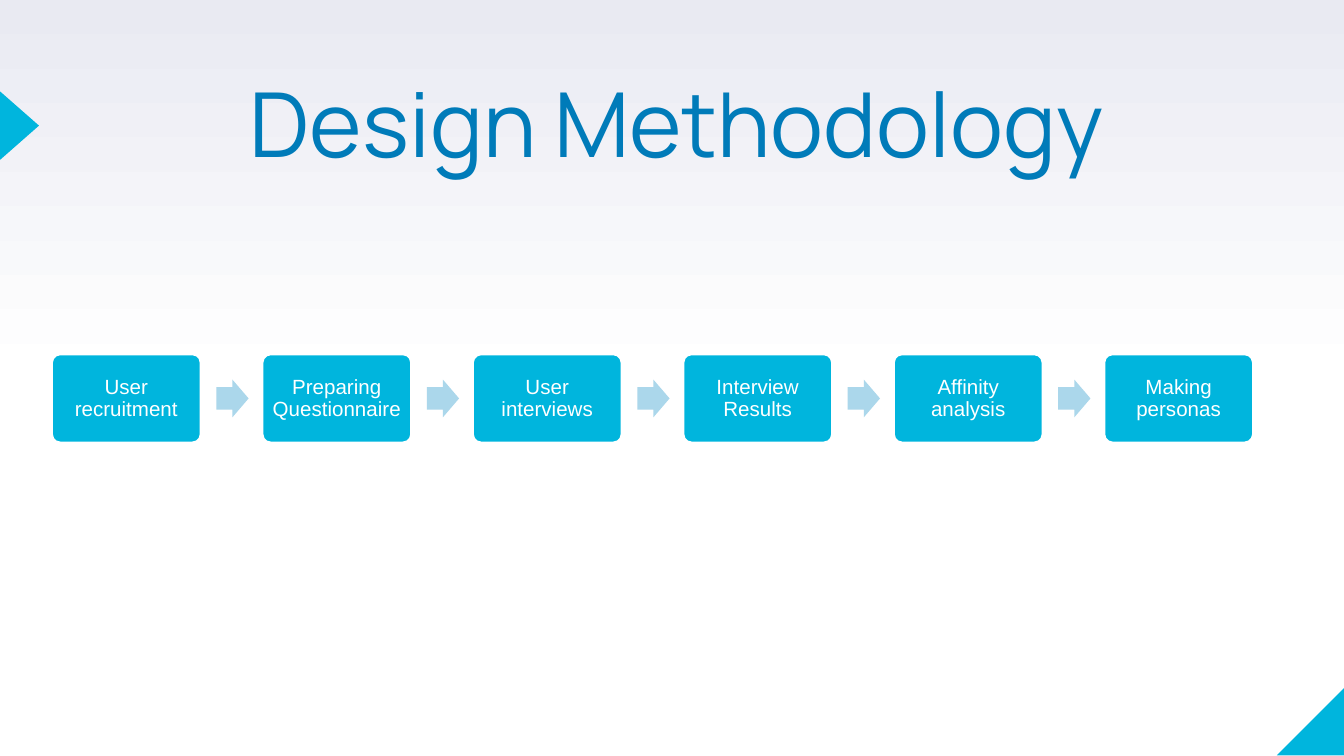
from pptx import Presentation
from pptx.dml.color import RGBColor
from pptx.enum.shapes import MSO_SHAPE
from pptx.enum.text import MSO_ANCHOR, PP_ALIGN
from pptx.util import Inches, Pt

ROUNDED, ARROW = MSO_SHAPE.ROUNDED_RECTANGLE, MSO_SHAPE.RIGHT_ARROW
TRIANGLE, CORNER = MSO_SHAPE.ISOSCELES_TRIANGLE, MSO_SHAPE.RIGHT_TRIANGLE
CENTER, MIDDLE, TOP = PP_ALIGN.CENTER, MSO_ANCHOR.MIDDLE, MSO_ANCHOR.TOP

CYAN = RGBColor(0x00, 0xB5, 0xDD)
PALE_BLUE = RGBColor(0xAB, 0xD7, 0xEB)
TITLE_BLUE = RGBColor(0x00, 0x7B, 0xB9)
LAVENDER = RGBColor(0xE9, 0xEA, 0xF2)
WHITE = RGBColor(0xFF, 0xFF, 0xFF)

SLIDE_WIDTH = 10
SLIDE_HEIGHT = SLIDE_WIDTH * 9 / 16

STEPS = ["User recruitment", "Preparing Questionnaire", "User interviews",
         "Interview Results", "Affinity analysis", "Making personas"]
FIRST_LEFT, LAST_LEFT = 0.38, 8.21
PITCH = (LAST_LEFT - FIRST_LEFT) / (len(STEPS) - 1)
STEP_TOP, STEP_WIDTH, STEP_HEIGHT = 2.63, 1.12, 0.67
ARROW_GAP, ARROW_WIDTH, ARROW_HEIGHT = 0.11, 0.24, 0.28


def paint_background(slide):
    """Fade from lavender at the top to white at mid-height."""
    fill = slide.background.fill
    fill.gradient()
    fill.gradient_angle = 90
    for stop, position, color in zip(fill.gradient_stops, (0.5, 1), (WHITE, LAVENDER)):
        stop.position = position
        stop.color.rgb = color


def add_solid(slide, preset, left, top, width, height, color, rotation=0):
    solid = slide.shapes.add_shape(
        preset, Inches(left), Inches(top), Inches(width), Inches(height))
    solid.shadow.inherit = False
    solid.fill.solid()
    solid.fill.fore_color.rgb = color
    solid.line.fill.background()
    solid.rotation = rotation
    return solid


def write(frame, text, font, size, color, spacing, inset, anchor):
    """Put one centred paragraph in a text frame."""
    frame.word_wrap = True
    frame.vertical_anchor = anchor
    frame.margin_left = frame.margin_right = Inches(inset)
    frame.margin_top = frame.margin_bottom = Inches(inset)
    frame.text = text
    paragraph = frame.paragraphs[0]
    paragraph.alignment = CENTER
    paragraph.line_spacing = spacing
    run_font = paragraph.runs[0].font
    run_font.name, run_font.size = font, Pt(size)
    run_font.color.rgb = color


def add_title(slide, text):
    title = slide.shapes.add_textbox(Inches(0.5), Inches(0.66), Inches(9.21), Inches(1.18))
    write(title.text_frame, text, "Manrope", 48, TITLE_BLUE, 0.8, 0, TOP)


def add_step(slide, left, label):
    step = add_solid(slide, ROUNDED, left, STEP_TOP, STEP_WIDTH, STEP_HEIGHT, CYAN)
    step.adjustments[0] = 0.1
    step.line.color.rgb = WHITE
    step.line.width = Pt(2)
    write(step.text_frame, label, "Arial", 11, WHITE, 0.9, 0.03, MIDDLE)


def add_step_arrow(slide, step_left):
    arrow = add_solid(slide, ARROW, step_left + STEP_WIDTH + ARROW_GAP,
                      STEP_TOP + (STEP_HEIGHT - ARROW_HEIGHT) / 2,
                      ARROW_WIDTH, ARROW_HEIGHT, PALE_BLUE)
    arrow.adjustments[0] = 0.6
    arrow.adjustments[1] = 0.5


def main():
    deck = Presentation()
    deck.slide_width, deck.slide_height = Inches(SLIDE_WIDTH), Inches(SLIDE_HEIGHT)
    slide = deck.slides.add_slide(deck.slide_layouts[6])
    paint_background(slide)
    add_solid(slide, CORNER, 9.5, 5.11, 0.51, 0.51, CYAN, rotation=270)
    add_solid(slide, TRIANGLE, -0.11, 0.79, 0.51, 0.29, CYAN, rotation=90)
    add_title(slide, "Design Methodology ")
    for index, label in enumerate(STEPS):
        left = FIRST_LEFT + index * PITCH
        add_step(slide, left, label)
        if index < len(STEPS) - 1:
            add_step_arrow(slide, left)
    deck.save("out.pptx")


if __name__ == "__main__":
    main()
